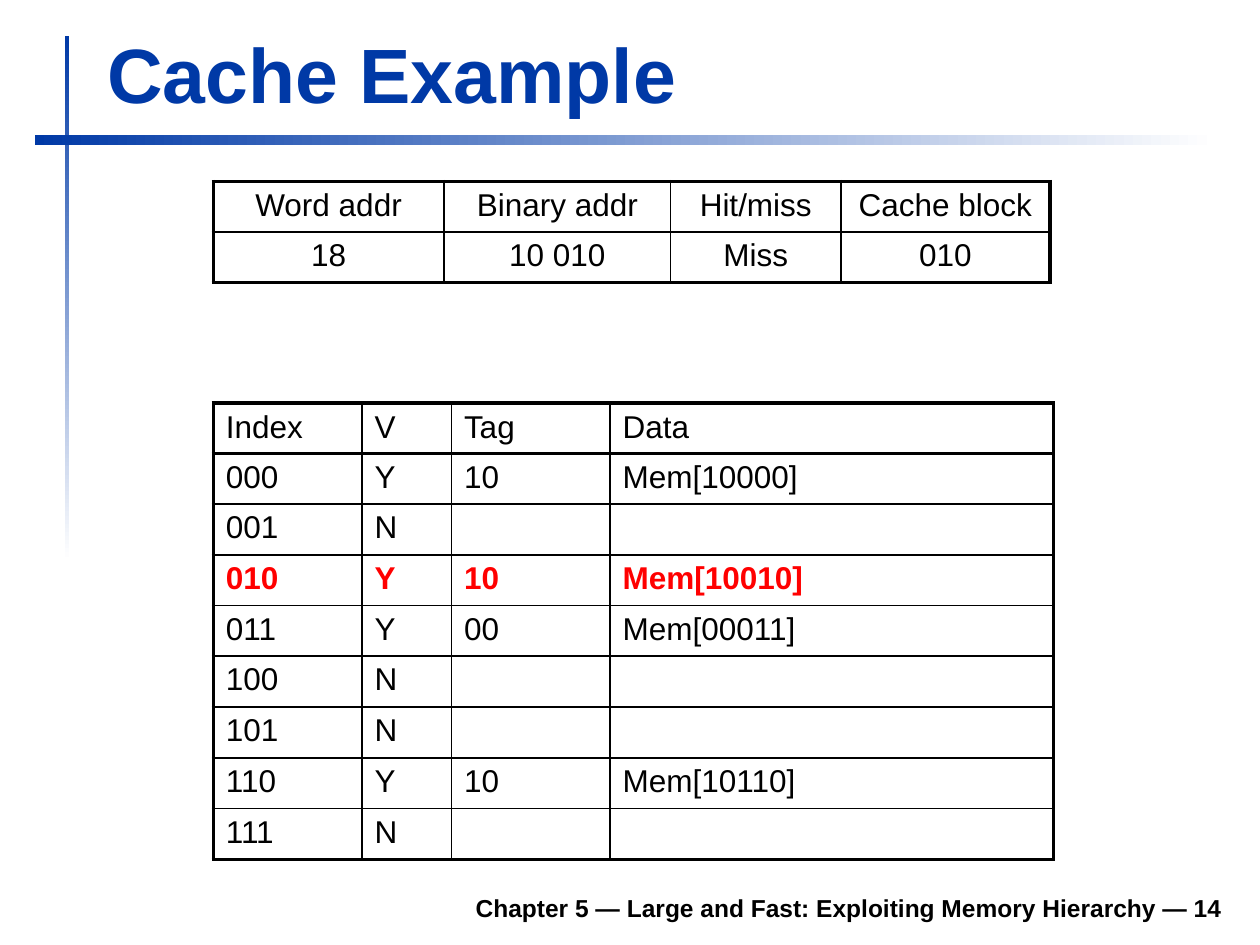
from lxml import etree
from pptx import Presentation, util as u
from pptx.dml import color
from pptx.enum import shapes, text
from pptx.oxml import ns

Pt = u.Pt
COLORS = {"blue": "0039A6", "white": "FFFFFF", "black": "000000", "red": "FF0000"}
THICK, HEADER_RULE, THIN = 2.25, 1.5, 1


def write(para, content, size, ink="black", bold=False, align=text.PP_ALIGN.LEFT):
    para.alignment = align
    span = para.add_run()
    span.text = content
    for name, value in {"name": "Arial", "size": Pt(size), "bold": bold}.items():
        setattr(span.font, name, value)
    span.font.color.rgb = color.RGBColor.from_string(COLORS[ink])


def add_border(cell, position, side, width):
    line = etree.Element(ns.qn(f"a:ln{side}"), w=str(Pt(width)))
    fill = etree.SubElement(line, ns.qn("a:solidFill"))
    etree.SubElement(fill, ns.qn("a:srgbClr"), val=COLORS["black"])
    cell._tc.get_or_add_tcPr().insert(position, line)


deck = Presentation()
deck.slide_width, deck.slide_height = Pt(720), Pt(540)
page = deck.slides.add_slide(deck.slide_layouts[5])

bars = [((36.9, 20.4, 2.6, 300), 270), ((19.8, 77, 675, 5.8), 0)]
for frame, angle in bars:
    bar = page.shapes.add_shape(shapes.MSO_SHAPE.RECTANGLE, *map(Pt, frame))
    bar.shadow.inherit = False
    bar.line.fill.background()
    bar.fill.gradient()
    bar.fill.gradient_angle = angle
    for stop, name, position in zip(bar.fill.gradient_stops, ("blue", "white"), (0, 1)):
        stop.color.rgb = color.RGBColor.from_string(COLORS[name])
        stop.position = position

title = page.shapes.title
footer = page.shapes.add_textbox(0, 0, 0, 0)
captions = [
    (title, (54, 11.5, 650, 59.8), "Cache Example", 44, "blue", text.PP_ALIGN.LEFT),
    (footer, (133.2, 502.6, 572.4, 28), "Chapter 5 — Large and Fast: Exploiting Memory Hierarchy — 14",
     14, "black", text.PP_ALIGN.RIGHT),
]
for box, frame, content, size, ink, align in captions:
    for name, value in zip(("left", "top", "width", "height"), frame):
        setattr(box, name, Pt(value))
    body = box.text_frame
    for name, value in {"word_wrap": True, "vertical_anchor": text.MSO_ANCHOR.BOTTOM,
                        "auto_size": text.MSO_AUTO_SIZE.NONE}.items():
        setattr(body, name, value)
    write(body.paragraphs[0], content, size, ink, True, align)

cache_rows = [
    ("Index", "V", "Tag", "Data"),
    ("000", "Y", "10", "Mem[10000]"),
    ("001", "N", "", ""),
    ("010", "Y", "10", "Mem[10010]"),
    ("011", "Y", "00", "Mem[00011]"),
    ("100", "N", "", ""),
    ("101", "N", "", ""),
    ("110", "Y", "10", "Mem[10110]"),
    ("111", "N", "", ""),
]
access_rows = [
    ("Word addr", "Binary addr", "Hit/miss", "Cache block"),
    ("18", "10 010", "Miss", "010"),
]
tables = [
    (cache_rows, 230.4, (85, 51.1, 90.7, 253.4), text.PP_ALIGN.LEFT, "010"),
    (access_rows, 103.8, (131.8, 129.6, 97.2, 119.5), text.PP_ALIGN.CENTER, None),
]
row_height = 28.8
for rows, top, widths, align, changed in tables:
    last_row, last_column = len(rows) - 1, len(widths) - 1
    table = page.shapes.add_table(len(rows), len(widths), Pt(121.9), Pt(top),
                                  Pt(sum(widths)), Pt(row_height * len(rows))).table
    table.first_row = table.horz_banding = False
    for column, width in zip(table.columns, widths):
        column.width = Pt(width)
    for r, values in enumerate(rows):
        table.rows[r].height = Pt(row_height)
        marked = values[0] == changed
        for c, value in enumerate(values):
            cell = table.cell(r, c)
            cell.fill.background()
            if value:
                write(cell.text_frame.paragraphs[0], value, 18,
                      "red" if marked else "black", marked, align)
            borders = {
                "L": THICK if c == 0 else THIN,
                "R": THICK if c == last_column else THIN,
                "T": {0: THICK, 1: HEADER_RULE}.get(r, THIN),
                "B": THICK if r == last_row else HEADER_RULE if r == 0 else THIN,
            }
            for position, (side, width) in enumerate(borders.items()):
                add_border(cell, position, side, width)

deck.save("out.pptx")
